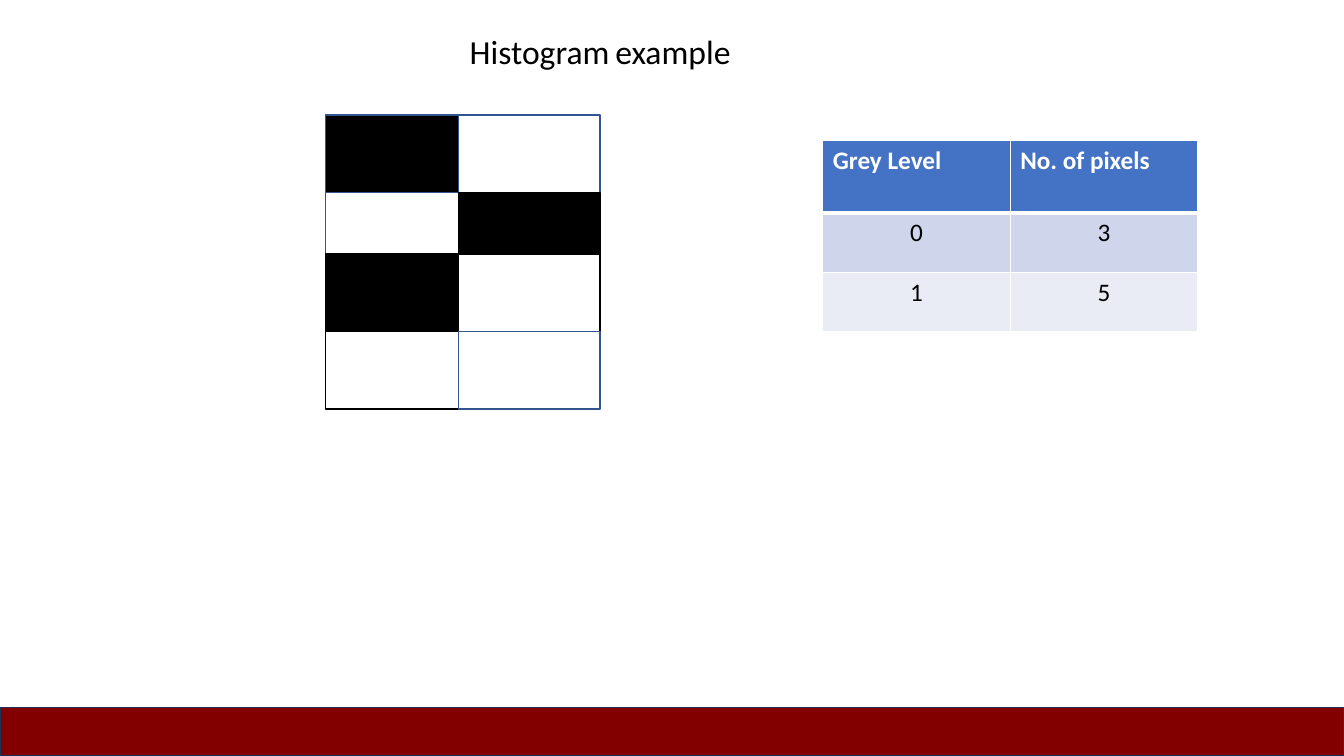
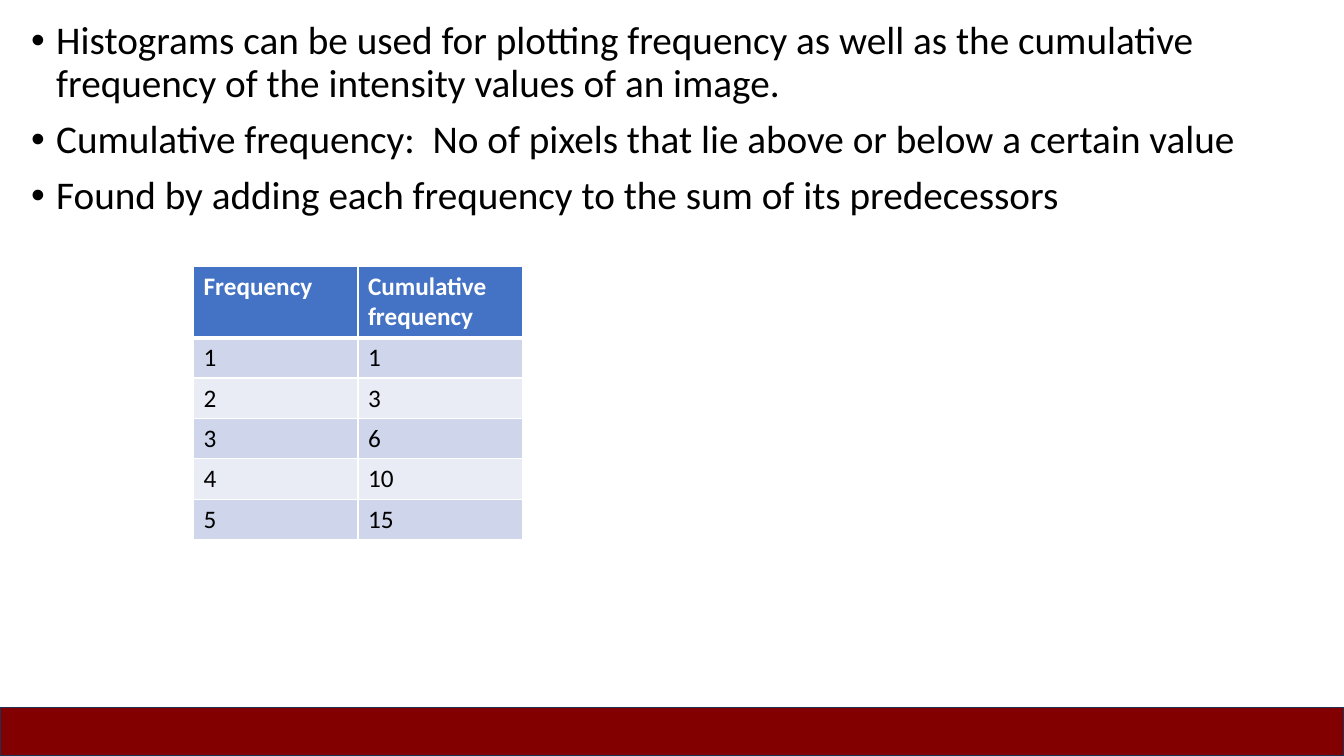
from itertools import accumulate

from lxml import etree
from pptx import Presentation
from pptx.dml.color import RGBColor
from pptx.enum.shapes import MSO_SHAPE
from pptx.enum.text import MSO_AUTO_SIZE, PP_ALIGN
from pptx.oxml.ns import qn
from pptx.util import Inches, Pt

RECTANGLE = MSO_SHAPE.RECTANGLE
CENTER, LEFT = PP_ALIGN.CENTER, PP_ALIGN.LEFT
FIT_SHAPE = MSO_AUTO_SIZE.SHAPE_TO_FIT_TEXT

WIDTH, HEIGHT = 13.33, 7.5
BAND_HEIGHT = 0.48
FONT = "Calibri"
COLORS = {
    "black": "000000", "white": "FFFFFF", "blue": "325491",
    "band": "820000", "band edge": "1E3256",
    "header": "4472C4", "odd row": "CFD5EA", "even row": "E9EBF5",
}

TITLE = [("Histogram", 24), (" ", 18), ("example ", 24)]
PIXEL_COLUMNS = [1.32, 1.4]
PIXEL_ROWS = [0.77, 0.61, 0.77, 0.77]
PIXELS = [
    [("black", "blue"), ("white", "blue")],
    [(None, "blue"), ("black", "black")],
    [("black", "black"), (None, "black")],
    [("white", "black"), (None, "blue")],
]
GREY_LEVELS = [("Grey Level", "No. of pixels"), (0, 3), (1, 5)]

POINTS = [
    "Histograms can be used for plotting frequency as well as the cumulative "
    "frequency of the intensity values of an image.",
    "Cumulative frequency:  No of pixels that lie above or below a certain value",
    "Found by adding each frequency to the sum of its predecessors",
]
FREQUENCIES = [1, 2, 3, 4, 5]
CUMULATIVE = [("Frequency", "Cumulative frequency"),
              *zip(FREQUENCIES, accumulate(FREQUENCIES))]


def rgb(name):
    return RGBColor.from_string(COLORS[name])


def box(*lengths):
    return [Inches(length) for length in lengths]


def style_font(font, size, color="black", bold=False):
    font.name, font.size, font.bold = FONT, Pt(size), bold
    font.color.rgb = rgb(color)


def add_rectangle(slide, place, fill, line):
    rectangle = slide.shapes.add_shape(RECTANGLE, *box(*place))
    rectangle.shadow.inherit = False
    if fill:
        rectangle.fill.solid()
        rectangle.fill.fore_color.rgb = rgb(fill)
    else:
        rectangle.fill.background()
    rectangle.line.color.rgb = rgb(line)
    rectangle.line.width = Pt(1)


def add_band(slide):
    place = (0, HEIGHT - BAND_HEIGHT, WIDTH, BAND_HEIGHT)
    add_rectangle(slide, place, "band", "band edge")


def add_pixels(slide, left, top):
    lefts = list(accumulate(PIXEL_COLUMNS, initial=left))
    tops = list(accumulate(PIXEL_ROWS, initial=top))
    for r, row in enumerate(PIXELS):
        for c, (fill, line) in enumerate(row):
            place = (lefts[c], tops[r], PIXEL_COLUMNS[c], PIXEL_ROWS[r])
            add_rectangle(slide, place, fill, line)


def add_borders(cell, bottom):
    properties = cell._tc.get_or_add_tcPr()
    for side, width in (("L", 1), ("R", 1), ("T", 1), ("B", bottom)):
        line = etree.SubElement(properties, qn(f"a:ln{side}"), w=str(Pt(width)))
        fill = etree.SubElement(line, qn("a:solidFill"))
        etree.SubElement(fill, qn("a:srgbClr"), val=COLORS["white"])


def add_data_table(slide, data, left, top, column_width, header_height,
                   row_height, body_align):
    heights = [header_height] + [row_height] * (len(data) - 1)
    columns = len(data[0])
    place = box(left, top, column_width * columns, sum(heights))
    table = slide.shapes.add_table(len(data), columns, *place).table
    for column in table.columns:
        column.width = Inches(column_width)
    for r, (values, height) in enumerate(zip(data, heights)):
        table.rows[r].height = Inches(height)
        header = r == 0
        fill = "header" if header else "odd row" if r % 2 else "even row"
        for cell, value in zip(table.rows[r].cells, values):
            add_borders(cell, 3 if header else 1)
            cell.fill.solid()
            cell.fill.fore_color.rgb = rgb(fill)
            cell.text = str(value)
            paragraph = cell.text_frame.paragraphs[0]
            paragraph.alignment = LEFT if header else body_align
            style_font(paragraph.font, 18, "white" if header else "black", header)


def add_text_frame(slide, *place):
    frame = slide.shapes.add_textbox(*box(*place)).text_frame
    frame.word_wrap = True
    return frame


def add_title(slide):
    frame = add_text_frame(slide, 2.87, 0.26, 6.24, 0.5)
    frame.auto_size = FIT_SHAPE
    paragraph = frame.paragraphs[0]
    paragraph.alignment = CENTER
    for text, size in TITLE:
        run = paragraph.add_run()
        run.text = text
        style_font(run.font, size)


def add_points(slide):
    frame = add_text_frame(slide, 0.21, 0.16, 12.66, 7.1)
    frame.text = "\n".join(POINTS)
    for paragraph in frame.paragraphs:
        paragraph.line_spacing = 0.9
        paragraph.space_before = Pt(10)
        style_font(paragraph.font, 28)
        properties = paragraph._p.get_or_add_pPr()
        properties.set("marL", str(Inches(0.25)))
        properties.set("indent", str(-Inches(0.25)))
        bullet_font = etree.Element(qn("a:buFont"), typeface="Arial")
        bullet = etree.Element(qn("a:buChar"), char="•")
        properties.find(qn("a:spcBef")).addnext(bullet_font)
        bullet_font.addnext(bullet)


def main():
    deck = Presentation()
    deck.slide_width, deck.slide_height = box(WIDTH, HEIGHT)
    blank = deck.slide_layouts[6]

    example = deck.slides.add_slide(blank)
    add_data_table(example, GREY_LEVELS, 8.16, 1.39, 1.86, 0.72, 0.59, CENTER)
    add_pixels(example, 3.23, 1.14)
    add_title(example)
    add_band(example)

    cumulative = deck.slides.add_slide(blank)
    add_points(cumulative)
    add_data_table(cumulative, CUMULATIVE, 1.92, 2.64, 1.63, 0.71, 0.4, LEFT)
    add_band(cumulative)

    deck.save("out.pptx")


if __name__ == "__main__":
    main()
